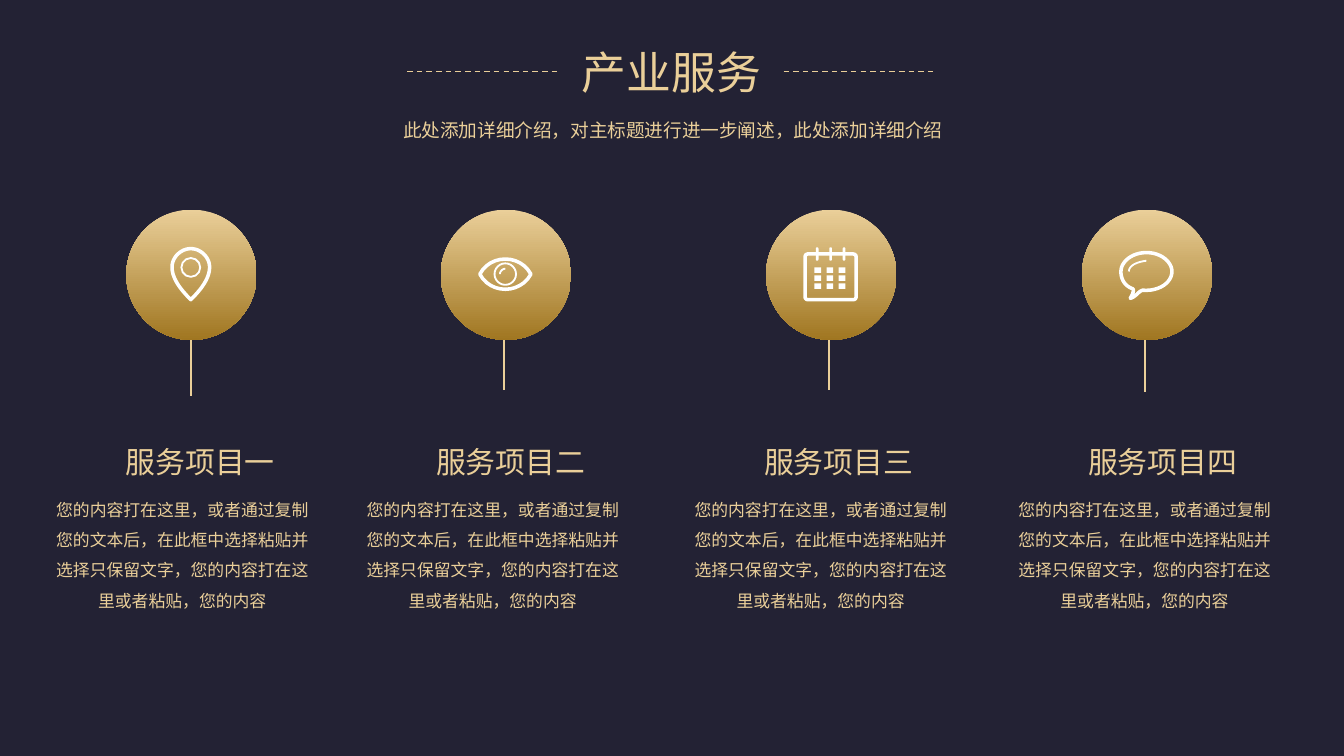
"""Build a slide of four services, each under a round gold icon."""
from dataclasses import dataclass
from typing import Any, Callable

import lxml.etree
import pptx
import pptx.dml.color
import pptx.enum.dml
import pptx.enum.shapes
import pptx.enum.text
import pptx.oxml.ns
import pptx.util

Inches = pptx.util.Inches
Pt = pptx.util.Pt
RGBColor = pptx.dml.color.RGBColor
Shape = pptx.enum.shapes.MSO_SHAPE
Align = pptx.enum.text.PP_ALIGN
Fit = pptx.enum.text.MSO_AUTO_SIZE
qn = pptx.oxml.ns.qn

GOLD = RGBColor(0xEA, 0xCF, 0x99)
BRONZE = RGBColor(0xA0, 0x76, 0x21)
NIGHT = RGBColor(0x23, 0x22, 0x34)
WHITE = RGBColor(0xFF, 0xFF, 0xFF)
FONT = "Noto Sans CJK SC"
BODY = ("您的内容打在这里，或者通过复制您的文本后，在此框中选择粘贴并"
        "选择只保留文字，您的内容打在这里或者粘贴，您的内容")
TOP = 1.56
SIZE = 0.97
MID = 2.04
BOLD = 1.9
THIN = 1.0
STEPS = 12


@dataclass
class Pen:
    """Draws white marks around the centre of an icon."""
    shapes: Any
    x: float

    def curve(self, start: tuple, parts: list, width: float, close: bool = True) -> None:
        """Trace cubic curves; each part holds two handles and an end."""
        dots = [start]
        for part in parts:
            ends = (dots[-1], *part)
            for step in range(1, STEPS + 1):
                t = step / STEPS
                mix = ((1 - t) ** 3, 3 * t * (1 - t) ** 2, 3 * t * t * (1 - t), t ** 3)
                dots.append(tuple(sum(m * p[k] for m, p in zip(mix, ends)) for k in (0, 1)))
        spots = [(Inches(self.x + x), Inches(MID + y)) for x, y in dots]
        form = self.shapes.build_freeform(*spots[0])
        form.add_line_segments(spots[1:], close=close)
        ink(form.convert_to_shape(), width)

    def mark(self, kind: Any, box: tuple, width: float = 0) -> Any:
        """Add a preset shape, filled when it has no line width."""
        x, y, wide, high = box
        shape = self.shapes.add_shape(
            kind, Inches(self.x + x), Inches(MID + y), Inches(wide), Inches(high))
        ink(shape, width)
        return shape


def ink(shape: Any, width: float) -> None:
    """Outline a shape in white, or fill it if the width is zero."""
    shape.shadow.inherit = False
    if width:
        shape.fill.background()
        shape.line.color.rgb = WHITE
        shape.line.width = Pt(width)
    else:
        shape.fill.solid()
        shape.fill.fore_color.rgb = WHITE
        shape.line.fill.background()


def gild(fill: Any) -> None:
    """Fade a fill from gold down to bronze."""
    fill.gradient()
    fill.gradient_angle = 270
    for stop, tint in zip(fill.gradient_stops, (GOLD, BRONZE)):
        stop.color.rgb = tint


def pin(pen: Pen) -> None:
    """Draw a map pin."""
    pen.mark(Shape.OVAL, (-0.07, -0.12, 0.14, 0.14), THIN)
    pen.curve((0, 0.19), [
        ((-0.04, 0.15), (-0.14, 0.05), (-0.14, -0.05)),
        ((-0.14, -0.13), (-0.07, -0.19), (0, -0.19)),
        ((0.07, -0.19), (0.14, -0.13), (0.14, -0.05)),
        ((0.14, 0.05), (0.04, 0.15), (0, 0.19))], BOLD)


def eye(pen: Pen) -> None:
    """Draw an open eye."""
    pen.curve((-0.19, 0), [
        ((-0.11, -0.15), (0.11, -0.15), (0.19, 0)),
        ((0.11, 0.15), (-0.11, 0.15), (-0.19, 0))], BOLD)
    pen.mark(Shape.OVAL, (-0.08, -0.08, 0.16, 0.16), THIN)
    pen.curve((-0.04, 0), [((-0.04, -0.02), (-0.02, -0.04), (0, -0.04))], THIN, False)


def dates(pen: Pen) -> None:
    """Draw a calendar sheet."""
    sheet = pen.mark(Shape.ROUNDED_RECTANGLE, (-0.19, -0.15, 0.38, 0.34), BOLD)
    sheet.adjustments[0] = 0.06
    for col in range(3):
        ring = pen.mark(Shape.ROUNDED_RECTANGLE, (-0.11 + 0.1 * col, -0.2, 0.02, 0.1))
        ring.adjustments[0] = 0.5
        for row in range(3):
            pen.mark(Shape.RECTANGLE, (-0.12 + 0.09 * col, -0.05 + 0.06 * row, 0.05, 0.04))


def chat(pen: Pen) -> None:
    """Draw a speech bubble."""
    pen.curve((0, -0.16), [
        ((0.11, -0.16), (0.19, -0.09), (0.19, -0.02)),
        ((0.19, 0.06), (0.1, 0.13), (-0.03, 0.12)),
        ((-0.06, 0.13), (-0.08, 0.17), (-0.12, 0.18)),
        ((-0.11, 0.16), (-0.09, 0.13), (-0.1, 0.11)),
        ((-0.16, 0.09), (-0.19, 0.04), (-0.19, -0.02)),
        ((-0.19, -0.09), (-0.11, -0.16), (0, -0.16))], BOLD)
    pen.curve((-0.13, -0.02), [((-0.13, -0.06), (-0.08, -0.09), (0, -0.1))], THIN, False)


@dataclass
class Item:
    """One service column."""
    name: str
    disc: float
    text: float
    stem: tuple
    icon: Callable


ITEMS = [
    Item("服务项目一", 0.94, 0.3, (1.42, 2.2, 2.95), pin),
    Item("服务项目二", 3.28, 2.61, (3.75, 2.12, 2.9), eye),
    Item("服务项目三", 5.7, 5.05, (6.17, 2.12, 2.9), dates),
    Item("服务项目四", 8.05, 7.46, (8.52, 2.14, 2.92), chat),
]


def rule(shapes: Any, start: tuple, end: tuple, width: float) -> Any:
    """Draw a straight gold line."""
    line = shapes.add_connector(pptx.enum.shapes.MSO_CONNECTOR.STRAIGHT,
                                *(Inches(n) for n in (*start, *end)))
    line.line.color.rgb = GOLD
    line.line.width = Pt(width)
    lxml.etree.SubElement(line._element.spPr, qn("a:effectLst"))
    return line


def write(box: Any, place: tuple, text: str, size: float, align: Any = Align.CENTER,
          space: float = 1.0, fit: Any = Fit.SHAPE_TO_FIT_TEXT) -> None:
    """Place a box and set its text in gold."""
    box.left, box.top, box.width, box.height = (Inches(n) for n in place)
    frame = box.text_frame
    frame.word_wrap = True
    frame.auto_size = fit
    frame.vertical_anchor = pptx.enum.text.MSO_ANCHOR.TOP
    para = frame.paragraphs[0]
    para.alignment = align
    para.line_spacing = space
    para.space_before = Pt(0)
    run = para.add_run()
    run.text = text
    run.font.size = Pt(size)
    run.font.name = FONT
    gild(run.font.fill)
    east = lxml.etree.SubElement(run.font._element, qn("a:ea"))
    east.set("typeface", FONT)


def column(shapes: Any, item: Item) -> None:
    """Draw one service with its stem, icon and text."""
    x, top, end = item.stem
    rule(shapes, (x, top), (x, end), 1)
    group = shapes.add_group_shape().shapes
    disc = group.add_shape(Shape.OVAL, Inches(item.disc), Inches(TOP), Inches(SIZE), Inches(SIZE))
    disc.shadow.inherit = False
    disc.line.fill.background()
    gild(disc.fill)
    item.icon(Pen(group, item.disc + 0.48))
    for place, text, size, space in (
            ((item.text + 0.44, 3.25, 1.5, 0.37), item.name, 16, 1.0),
            ((item.text, 3.59, 2.11, 1.01), BODY, 9, 1.5)):
        write(shapes.add_textbox(0, 0, 0, 0), place, text, size, space=space)


def main() -> None:
    """Build and save the deck."""
    deck = pptx.Presentation()
    deck.slide_width = Inches(10)
    deck.slide_height = deck.slide_width * 9 // 16
    slide = deck.slides.add_slide(deck.slide_layouts[0])
    slide.background.fill.solid()
    slide.background.fill.fore_color.rgb = NIGHT
    for item in ITEMS:
        column(slide.shapes, item)
    write(slide.shapes.title, (4.23, 0.28, 1.55, 0.51), "产业服务", 24, Align.LEFT)
    write(slide.placeholders[1], (1.93, 0.8, 6.15, 0.28),
          "此处添加详细介绍，对主标题进行进一步阐述，此处添加详细介绍", 10, space=1.2, fit=Fit.NONE)
    for x in (5.83, 3.03):
        line = rule(slide.shapes, (x, 0.53), (x + 1.14, 0.53), 0.75)
        line.line.dash_style = pptx.enum.dml.MSO_LINE.DASH
    deck.save("out.pptx")


if __name__ == "__main__":
    main()
